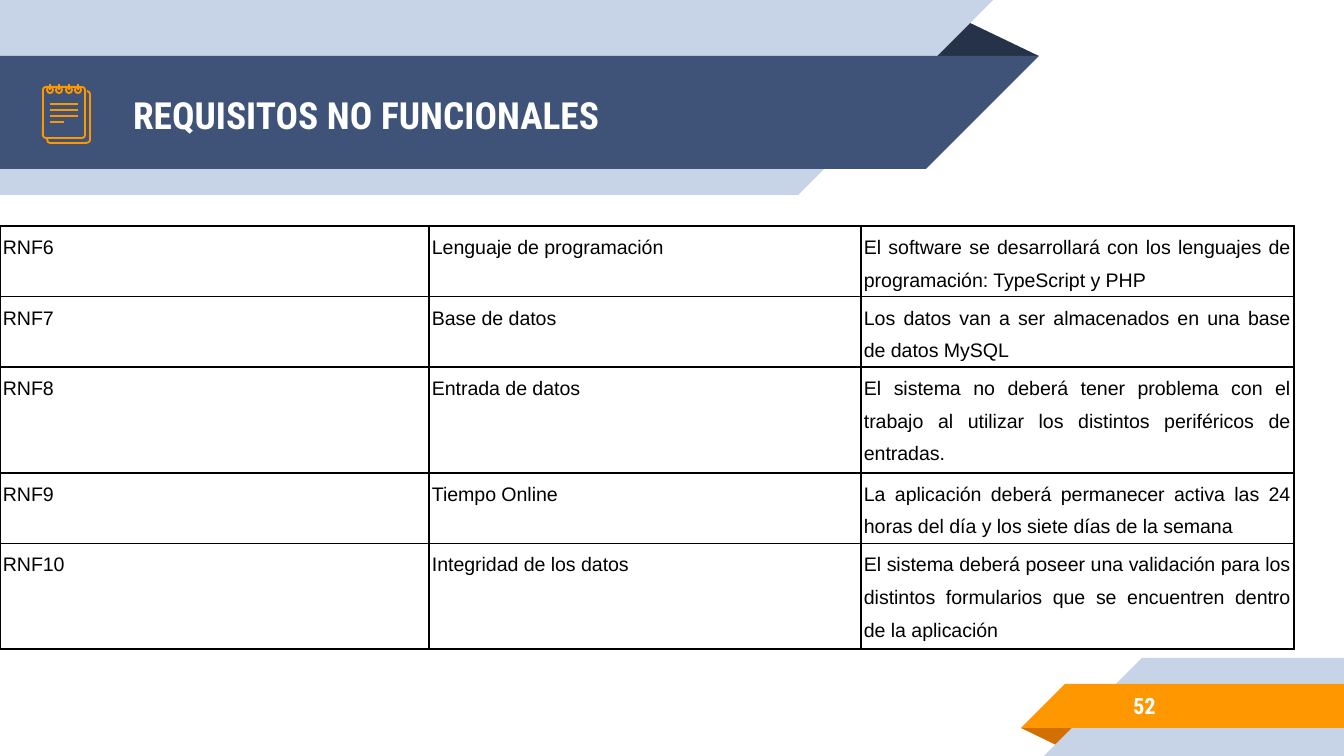
from typing import NamedTuple

from lxml import etree
from pptx import Presentation
from pptx.dml.color import RGBColor
from pptx.enum.shapes import MSO_CONNECTOR, MSO_SHAPE
from pptx.enum.text import MSO_ANCHOR, PP_ALIGN
from pptx.oxml.ns import qn
from pptx.util import Pt

PX = 914400 / 134.4

PALE = RGBColor(0xC7, 0xD3, 0xE6)
NAVY = RGBColor(0x3F, 0x53, 0x78)
DARK = RGBColor(0x26, 0x32, 0x48)
ORANGE = RGBColor(0xFF, 0x98, 0x00)
RUST = RGBColor(0xD2, 0x6F, 0x00)
WHITE = RGBColor(0xFF, 0xFF, 0xFF)
BLACK = RGBColor(0x00, 0x00, 0x00)

RECTANGLE = MSO_SHAPE.RECTANGLE
ROUNDED = MSO_SHAPE.ROUNDED_RECTANGLE
OVAL = MSO_SHAPE.OVAL
TRIANGLE = MSO_SHAPE.ISOSCELES_TRIANGLE
CORNER = MSO_SHAPE.RIGHT_TRIANGLE
STRAIGHT = MSO_CONNECTOR.STRAIGHT
MIDDLE = MSO_ANCHOR.MIDDLE
JUSTIFY = PP_ALIGN.JUSTIFY

REQUIREMENTS = [
    ("RNF6", "Lenguaje de programación",
     "El software se desarrollará con los lenguajes de programación: TypeScript y PHP"),
    ("RNF7", "Base de datos",
     "Los datos van a ser almacenados en una base de datos MySQL"),
    ("RNF8", "Entrada de datos",
     "El sistema no deberá tener problema con el trabajo al utilizar los distintos "
     "periféricos de entradas."),
    ("RNF9", "Tiempo Online",
     "La aplicación deberá permanecer activa las 24 horas del día y los siete días "
     "de la semana"),
    ("RNF10", "Integridad de los datos",
     "El sistema deberá poseer una validación para los distintos formularios que se "
     "encuentren dentro de la aplicación"),
]
COLUMN_WIDTHS = [429, 432, 433]
ROW_HEIGHTS = [65, 65, 98, 65, 98]


class Box(NamedTuple):
    left: int
    top: int
    width: int
    height: int

    def inner(self, left, top, width, height):
        return Box(self.left + left, self.top + top, width, height)


def emu(length):
    return round(length * PX)


def add_filled(page, kind, box, color, rotation=0):
    shape = page.shapes.add_shape(kind, *map(emu, box))
    shape.shadow.inherit = False
    shape.fill.solid()
    shape.fill.fore_color.rgb = color
    shape.line.fill.background()
    shape.rotation = rotation
    return shape


def add_fold(page, box, color, rotation=0):
    add_filled(page, TRIANGLE, box, color, rotation).adjustments[0] = 0.324


def add_label(page, box, text, size):
    label = page.shapes.add_textbox(*map(emu, box))
    frame = label.text_frame
    frame.word_wrap = True
    frame.vertical_anchor = MIDDLE
    frame.margin_left = frame.margin_right = emu(13)
    frame.margin_top = frame.margin_bottom = emu(13)
    para = frame.paragraphs[0]
    para.text = text
    para.font.name = "Roboto Condensed"
    para.font.size = Pt(size)
    para.font.bold = True
    para.font.color.rgb = WHITE


def outline(shape):
    shape.shadow.inherit = False
    shape.fill.background()
    shape.line.color.rgb = ORANGE
    shape.line.width = Pt(1)


def add_stroke(page, x1, y1, x2, y2):
    stroke = page.shapes.add_connector(STRAIGHT, *map(emu, (x1, y1, x2, y2)))
    stroke.line.color.rgb = ORANGE
    stroke.line.width = Pt(1)
    etree.SubElement(stroke._element.spPr, qn("a:effectLst"))


def add_notepad(page, box):
    rear = [(box.left + x, box.top + y) for x, y in
            [(4, 55), (5, 58), (7, 59), (43, 59), (46, 58), (47, 56),
             (47, 10), (46, 8), (44, 7)]]
    points = [(emu(x), emu(y)) for x, y in rear]
    builder = page.shapes.build_freeform(*points[0])
    builder.add_line_segments(points[1:], close=False)
    outline(builder.convert_to_shape())

    front = page.shapes.add_shape(ROUNDED, *map(emu, box.inner(0, 3, 42, 51)))
    front.adjustments[0] = 0.07
    outline(front)

    for index, width in enumerate((28, 28, 28, 14)):
        x, y = box.left + 7, box.top + 20 + 6 * index
        add_stroke(page, x, y, x + width, y)
    for x in (7, 16, 26, 35):
        ring = box.inner(x - 3, 3, 6, 6)
        outline(page.shapes.add_shape(OVAL, *map(emu, ring)))
        add_stroke(page, box.left + x, box.top, box.left + x, box.top + 6)


def add_header(page, box):
    add_fold(page, box.inner(925, 19, 114, 37), DARK)
    for top, width, height, color in ((0, 798, 195, PALE), (56, 926, 113, NAVY)):
        add_filled(page, RECTANGLE, box.inner(0, top, width, height), color)
        add_filled(page, CORNER, box.inner(width, top, height, height), color, 90)
    add_notepad(page, box.inner(43, 84, 47, 60))
    add_label(page, box.inner(120, 58, 773, 113), "REQUISITOS NO FUNCIONALES", 20)


def add_footer(page, box):
    """Page number on a ribbon that runs off the right edge."""
    add_fold(page, box.inner(0, 70, 58, 19), RUST, 180)
    for left, top, size, color in ((23, 0, 98, PALE), (0, 26, 44, ORANGE)):
        start = left + size
        add_filled(page, RECTANGLE, box.inner(start, top, box.width - start, size), color)
        add_filled(page, CORNER, box.inner(left, top, size, size), color, 270)
    add_label(page, box.inner(99, 24, 219, 47), "52", 12)


def set_borders(cell):
    """Draw a black 1 pt line on each side of the cell."""
    properties = cell._tc.get_or_add_tcPr()
    for index, side in enumerate(("lnL", "lnR", "lnT", "lnB")):
        line = etree.Element(qn(f"a:{side}"), w=str(Pt(1)))
        fill = etree.SubElement(line, qn("a:solidFill"))
        etree.SubElement(fill, qn("a:srgbClr"), val=str(BLACK))
        properties.insert(index, line)


def fill_cell(cell, text):
    cell.fill.background()
    cell.margin_left = cell.margin_right = emu(3)
    cell.margin_top = cell.margin_bottom = 0
    set_borders(cell)
    para = cell.text_frame.paragraphs[0]
    para.text = text
    para.alignment = JUSTIFY
    para.line_spacing = 1.5
    para.space_after = Pt(8)
    para.font.name = "Arial"
    para.font.size = Pt(10.5)
    para.font.color.rgb = BLACK


def add_requirements(page, box):
    table = page.shapes.add_table(
        len(ROW_HEIGHTS), len(COLUMN_WIDTHS), *map(emu, box)).table
    table.first_row = table.horz_banding = False
    for column, width in zip(table.columns, COLUMN_WIDTHS):
        column.width = emu(width)
    for row, height, texts in zip(table.rows, ROW_HEIGHTS, REQUIREMENTS):
        row.height = emu(height)
        for cell, text in zip(row.cells, texts):
            fill_cell(cell, text)


def main():
    deck = Presentation()
    deck.slide_width, deck.slide_height = emu(1344), emu(756)
    page = deck.slides.add_slide(deck.slide_layouts[6])
    add_header(page, Box(0, 0, 1039, 195))
    add_footer(page, Box(1021, 658, 323, 98))
    add_requirements(page, Box(0, 226, sum(COLUMN_WIDTHS), sum(ROW_HEIGHTS)))
    deck.save("out.pptx")


if __name__ == "__main__":
    main()
